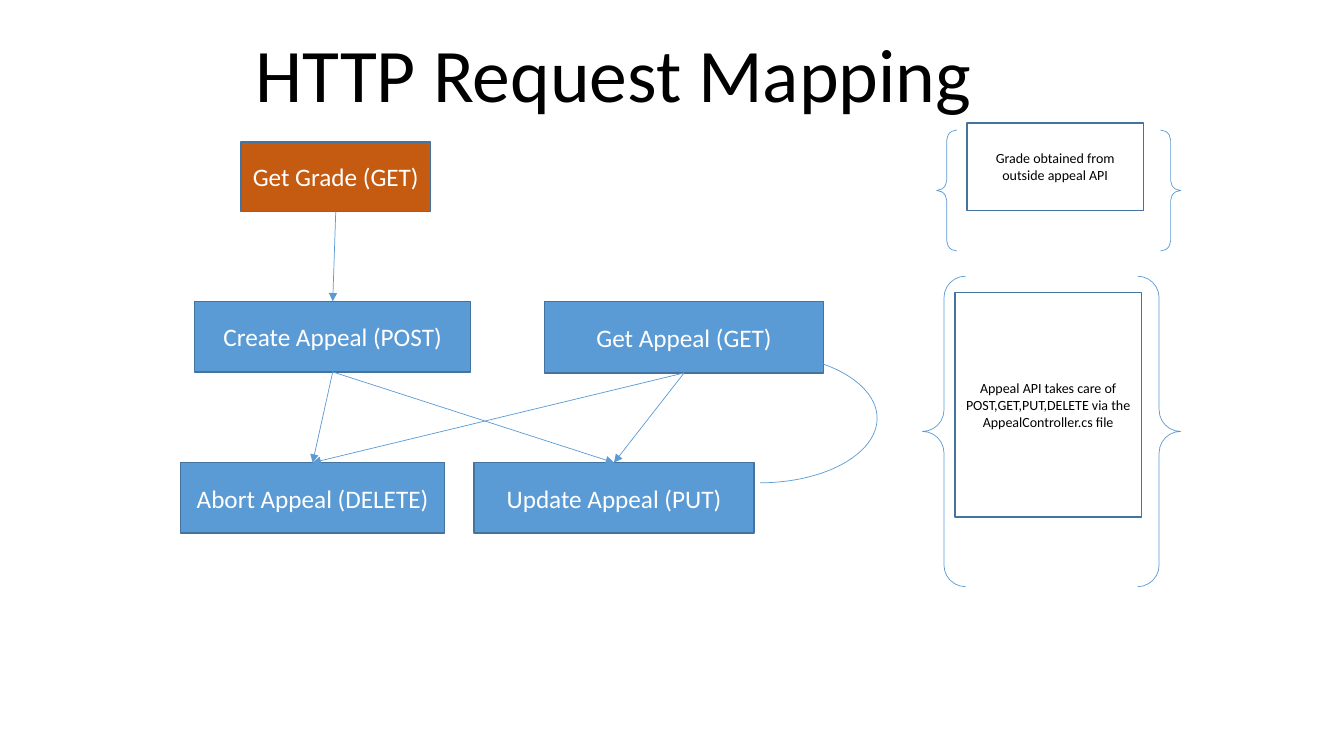
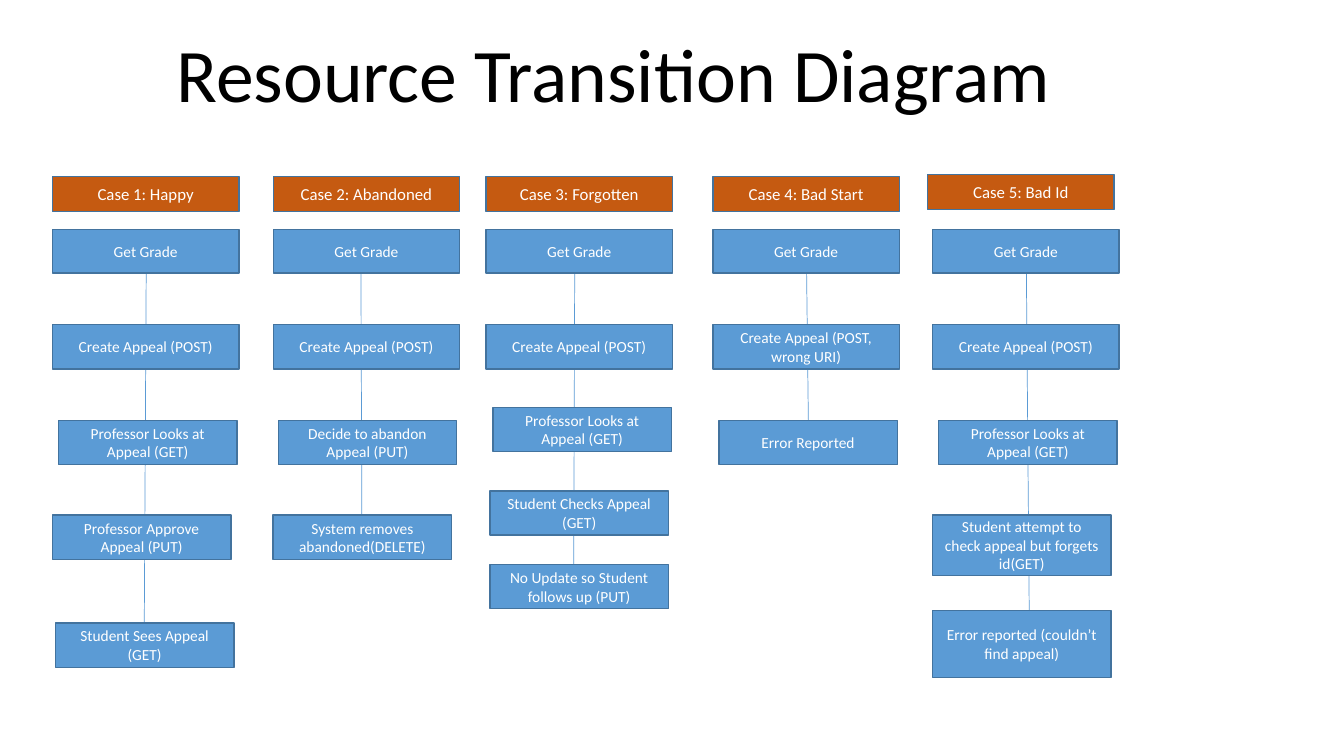
from dataclasses import dataclass

from lxml.etree import SubElement
from pptx import Presentation
from pptx.dml.color import RGBColor
from pptx.enum.shapes import MSO_CONNECTOR as Connector, MSO_SHAPE as Shape
from pptx.enum.text import MSO_ANCHOR as Anchor, MSO_AUTO_SIZE as AutoSize, PP_ALIGN as Align
from pptx.oxml.ns import qn
from pptx.util import Inches, Pt

COLORS = {
    "blue": "5B9BD5",
    "edge": "43739E",
    "orange": "C55A11",
    "white": "FFFFFF",
    "black": "000000",
}
FONT = "Calibri"


@dataclass
class Box:
    """A rectangle on the page, in inches."""
    left: float
    top: float
    width: float
    height: float

    def inside(self, left, top, width, height):
        """Return a box placed relative to this one's top left corner."""
        return Box(self.left + left, self.top + top, width, height)

    def lengths(self):
        """Return left, top, width and height as lengths."""
        return [Inches(value) for value in (self.left, self.top, self.width, self.height)]


TITLE = Box(1.6, 0.22, 8.97, 1.01)
MAPPING = Box(1.79, 1.41, 6.91, 3.88)
NOTES = Box(9.15, 1.22, 2.56, 4.6)
TRANSITIONS = Box(0.52, 1.75, 10.58, 4.97)

# Relative to MAPPING: box, colour
REQUESTS = {
    "Get Grade (GET)": ((0.6, 0, 1.88, 0.69), "orange"),
    "Create Appeal (POST)": ((0.14, 1.58, 2.74, 0.7), "blue"),
    "Get Appeal (GET)": ((3.61, 1.58, 2.77, 0.71), "blue"),
    "Abort Appeal (DELETE)": ((0, 3.18, 2.62, 0.7), "blue"),
    "Update Appeal (PUT)": ((2.91, 3.18, 2.78, 0.7), "blue"),
}
REQUEST_LINKS = [
    ("Get Grade (GET)", "Create Appeal (POST)"),
    ("Create Appeal (POST)", "Abort Appeal (DELETE)"),
    ("Create Appeal (POST)", "Update Appeal (PUT)"),
    ("Get Appeal (GET)", "Update Appeal (PUT)"),
    ("Get Appeal (GET)", "Abort Appeal (DELETE)"),
]
# Relative to NOTES: brace pair, note box, text
NOTE_BLOCKS = [
    ((0.14, 0.07, 2.42, 1.2), (0.44, 0, 1.75, 0.87),
     "Grade obtained from outside appeal API"),
    ((0, 1.52, 2.56, 3.08), (0.32, 1.68, 1.85, 2.23),
     "Appeal API takes care of POST,GET,PUT,DELETE via the AppealController.cs file"),
]


@dataclass
class Case:
    """One column of the diagram; steps are text, left, top, height in the column."""
    title: str
    left: float
    spine: tuple
    steps: list
    create: str = "Create Appeal (POST)"
    title_shift: tuple = (0, 0)


STEP = 0.44
LOOKS = "Professor Looks at Appeal (GET)"
CASES = [
    Case("Case 1: Happy", 0, (0.93, 0.91), [
        (LOOKS, 0.06, 2.42, STEP),
        ("Professor Approve Appeal (PUT)", 0, 3.36, STEP),
        ("Student Sees Appeal (GET)", 0.03, 4.43, STEP)]),
    Case("Case 2: Abandoned", 2.19, (0.87, 0.88), [
        ("Decide to abandon Appeal (PUT)", 0.05, 2.42, STEP),
        ("System removes abandoned(DELETE)", 0, 3.36, STEP)]),
    Case("Case 3: Forgotten", 4.3, (0.88, 0.87), [
        (LOOKS, 0.07, 2.29, STEP),
        ("Student Checks Appeal (GET)", 0.04, 3.12, STEP),
        ("No Update so Student follows up (PUT)", 0.04, 3.85, STEP)]),
    Case("Case 4: Bad Start", 6.55, (0.93, 0.95), [
        ("Error Reported", 0.06, 2.42, STEP)],
        create="Create Appeal (POST, wrong URI)"),
    Case("Case 5: Bad Id", 8.73, (0.93, 0.96), [
        (LOOKS, 0.06, 2.42, STEP),
        ("Student attempt to check appeal but forgets id(GET)", 0, 3.36, 0.6),
        ("Error reported (couldn\u2019t find appeal)", 0, 4.31, 0.66)],
        title_shift=(-0.05, -0.02)),
]


def color(name):
    """Return a named colour."""
    return RGBColor.from_string(COLORS[name])


def write(frame, text, size, ink):
    """Write one centred paragraph."""
    para = frame.paragraphs[0]
    para.alignment = Align.CENTER
    span = para.add_run()
    span.text = text
    span.font.name = FONT
    span.font.size = Pt(size)
    span.font.color.rgb = color(ink)


def add_title(page, box, text):
    """Add the slide title."""
    frame = page.shapes.add_textbox(*box.lengths()).text_frame
    frame.word_wrap = False
    frame.auto_size = AutoSize.SHAPE_TO_FIT_TEXT
    write(frame, text, 54, "black")


def add_label(page, box, text, size, fill="blue", ink="white"):
    """Add an outlined rectangle with centred text."""
    label = page.shapes.add_shape(Shape.RECTANGLE, *box.lengths())
    label.shadow.inherit = False
    label.fill.solid()
    label.fill.fore_color.rgb = color(fill)
    label.line.color.rgb = color("edge")
    label.line.width = Pt(1)
    label.text_frame.word_wrap = True
    label.text_frame.vertical_anchor = Anchor.MIDDLE
    write(label.text_frame, text, size, ink)
    return label


def add_outline(page, kind, box):
    """Add an unfilled thin blue shape."""
    outline = page.shapes.add_shape(kind, *box.lengths())
    outline.shadow.inherit = False
    outline.fill.background()
    outline.line.color.rgb = color("blue")
    outline.line.width = Pt(0.5)
    return outline


def add_arrow(page, left=0, top=0, right=0, bottom=0):
    """Add a thin blue arrow between two points."""
    ends = [Inches(value) for value in (left, top, right, bottom)]
    arrow = page.shapes.add_connector(Connector.STRAIGHT, *ends)
    arrow.line.color.rgb = color("blue")
    arrow.line.width = Pt(0.5)
    SubElement(arrow.line._get_or_add_ln(), qn("a:tailEnd"), type="triangle")
    SubElement(arrow._element.spPr, qn("a:effectLst"))
    return arrow


def add_mapping(page, box):
    """Draw the requests, the arrows between them and the return arc."""
    labels = {text: add_label(page, box.inside(*place), text, 18, fill)
              for text, (place, fill) in REQUESTS.items()}
    for source, target in REQUEST_LINKS:
        arrow = add_arrow(page)
        arrow.begin_connect(labels[source], 2)
        arrow.end_connect(labels[target], 0)
    arc = add_outline(page, Shape.ARC, box.inside(4.58, 2.1, 2.33, 1.28))
    arc.adjustments[0] = 162
    arc.adjustments[1] = 53.745


def add_notes(page, box):
    """Draw the notes between their braces."""
    for braces, note, text in NOTE_BLOCKS:
        add_outline(page, Shape.DOUBLE_BRACE, box.inside(*braces))
        add_label(page, box.inside(*note), text, 10, "white", "black")


def add_case(page, box, case):
    """Draw one case: its spine, heading and steps."""
    start, end = case.spine
    last_top = case.steps[-1][2]
    add_arrow(page, box.left + start, box.top + 0.96,
              box.left + end, box.top + last_top + 0.2)
    add_label(page, box.inside(*case.title_shift, box.width, 0.35), case.title, 12, "orange")
    add_label(page, box.inside(0, 0.53, box.width, 0.43), "Get Grade", 11)
    add_label(page, box.inside(0, 1.47, box.width, STEP), case.create, 11)
    for text, left, top, height in case.steps:
        add_label(page, box.inside(left, top, 1.77, height), text, 11)


def add_transitions(page, box):
    """Draw all cases side by side."""
    for case in CASES:
        add_case(page, box.inside(case.left, 0, 1.85, box.height), case)


def add_page(deck, title):
    """Add a blank page with a title."""
    page = deck.slides.add_slide(deck.slide_layouts[6])
    add_title(page, TITLE, title)
    return page


def main():
    """Build and save the deck."""
    deck = Presentation()
    deck.slide_width = Inches(13.33)
    deck.slide_height = Inches(7.5)
    page = add_page(deck, "HTTP Request Mapping")
    add_mapping(page, MAPPING)
    add_notes(page, NOTES)
    page = add_page(deck, "Resource Transition Diagram")
    add_transitions(page, TRANSITIONS)
    deck.save("out.pptx")


main()
